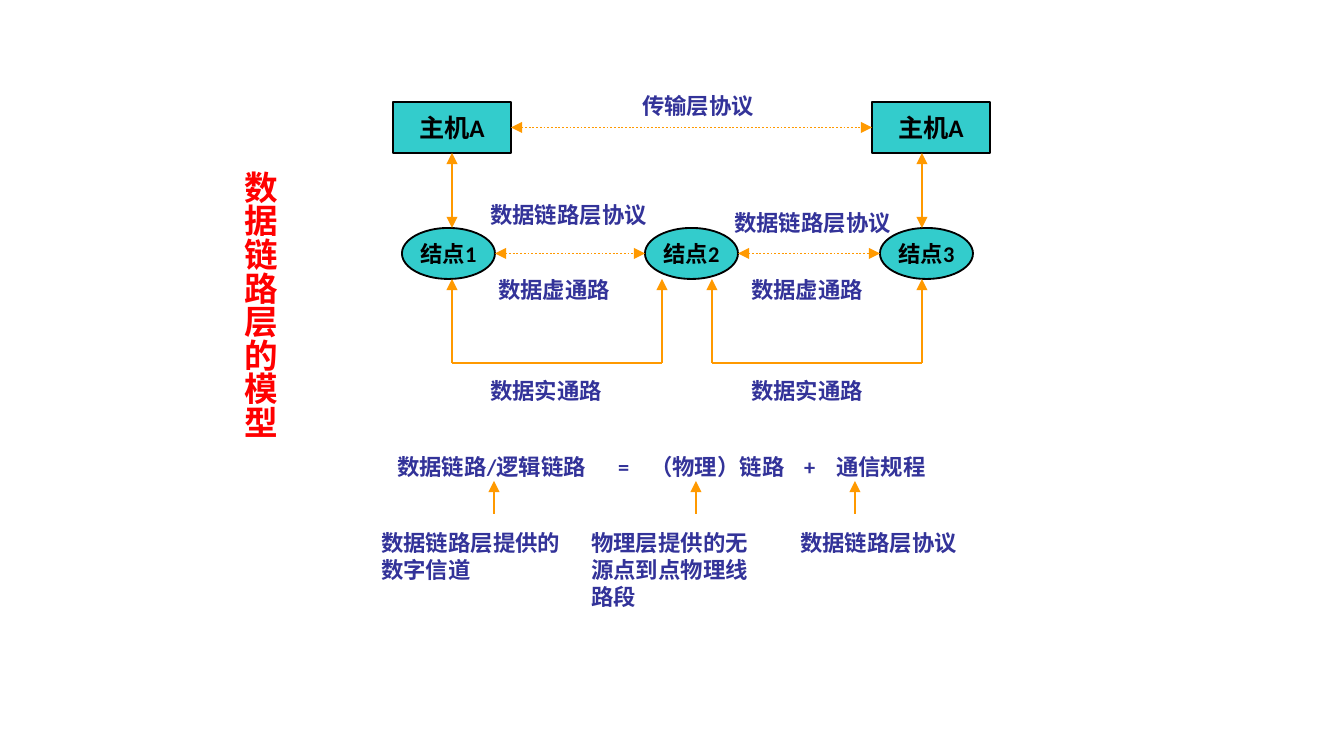
"""Build a slide showing the data link layer model."""
from pptx import Presentation
from pptx.dml.color import RGBColor
from pptx.enum.dml import MSO_LINE
from pptx.enum.shapes import MSO_CONNECTOR, MSO_SHAPE
from pptx.enum.text import MSO_ANCHOR, MSO_AUTO_SIZE, PP_ALIGN
from pptx.oxml.ns import qn
from pptx.util import Pt
from lxml.etree import SubElement

PX = 914400 / 134.4
TEAL = RGBColor(0x33, 0xCC, 0xCC)
ORANGE = RGBColor(0xFF, 0x99, 0x00)
INDIGO = RGBColor(0x33, 0x33, 0x99)
RED = RGBColor(0xFF, 0x00, 0x00)
BLACK = RGBColor(0x00, 0x00, 0x00)

TITLE = "数据链路层的模型"
HOSTS = [("主机A", 393), ("主机A", 872)]
NODES = [("结点1", 402), ("结点2", 645), ("结点3", 880)]
HOST_W, NODE_W, BOX_H = 118, 93, 51
HOST_Y, NODE_Y, LOOP_Y = 102, 228, 363
HOST_LINK_X = [452, 922]
LOOPS = [(452, 662), (712, 922)]
LABELS = [
    ("传输层协议", 629, 86, 176),
    ("数据链路层协议", 477, 195, 202),
    ("数据链路层协议", 721, 203, 202),
    ("数据虚通路", 485, 270, 151),
    ("数据虚通路", 738, 270, 151),
    ("数据实通路", 477, 371, 151),
    ("数据实通路", 738, 371, 151),
    ("数据链路层提供的数字信道", 368, 523, 218),
    ("物理层提供的无源点到点物理线路段", 578, 523, 202),
    ("数据链路层协议", 787, 523, 202),
]
EQUATION = "数据链路/逻辑链路\t=\t（物理）链路\t+\t通信规程"
EQUATION_TABS = [221, 253, 407, 439]
NOTE_ARROW_X = [494, 696, 855]


def px(*values):
    return [round(v * PX) for v in values]


def put_text(sp, text, size=12, font="Calibri", color=INDIGO, align=PP_ALIGN.LEFT,
             anchor=MSO_ANCHOR.TOP, wrap=True, tabs=()):
    tf = sp.text_frame
    tf.auto_size = MSO_AUTO_SIZE.NONE
    tf.word_wrap, tf.vertical_anchor = wrap, anchor
    p = tf.paragraphs[0]
    p.alignment = align
    if tabs:
        tab_list = SubElement(p._p.get_or_add_pPr(), qn("a:tabLst"))
        for pos in px(*tabs):
            SubElement(tab_list, qn("a:tab"), pos=str(pos), algn="l")
    r = p.add_run()
    r.text = text
    r.font.size, r.font.name, r.font.bold = Pt(size), font, True
    r.font.color.rgb = color


def add_box(s, kind, text, x, y, w, size):
    sp = s.shapes.add_shape(kind, *px(x, y, w, BOX_H))
    sp.shadow.inherit = False
    sp.fill.solid()
    sp.fill.fore_color.rgb = TEAL
    sp.line.color.rgb, sp.line.width = BLACK, Pt(1)
    put_text(sp, text, size=size, color=BLACK, align=PP_ALIGN.CENTER,
             anchor=MSO_ANCHOR.MIDDLE, wrap=False)


def add_label(s, text, x, y, w, **fmt):
    put_text(s.shapes.add_textbox(*px(x, y, w, 40)), text, **fmt)


def add_line(s, x1, y1, x2, y2, ends=(), dotted=False):
    line = s.shapes.add_connector(MSO_CONNECTOR.STRAIGHT, *px(x1, y1, x2, y2))
    line.line.color.rgb, line.line.width = ORANGE, Pt(1)
    if dotted:
        line.line.dash_style = MSO_LINE.ROUND_DOT
    for end in ends:
        SubElement(line.line._get_or_add_ln(), qn(f"a:{end}"), type="triangle")
    SubElement(line._element.spPr, qn("a:effectLst"))


def main():
    prs = Presentation()
    prs.slide_width, prs.slide_height = px(1344, 756)
    s = prs.slides.add_slide(prs.slide_layouts[5])
    both = ("headEnd", "tailEnd")

    title = s.shapes.title
    title.left, title.top, title.width, title.height = px(227, 164, 67, 310)
    put_text(title, TITLE, size=18, font="Arial", color=RED)
    title.text_frame._txBody.bodyPr.set("vert", "eaVert")

    for text, x in HOSTS:
        add_box(s, MSO_SHAPE.RECTANGLE, text, x, HOST_Y, HOST_W, 13.5)
    for text, x in NODES:
        add_box(s, MSO_SHAPE.OVAL, text, x, NODE_Y, NODE_W, 12)

    for x in HOST_LINK_X:
        add_line(s, x, HOST_Y + BOX_H, x, NODE_Y, both)
    for x1, x2 in LOOPS:
        add_line(s, x1, LOOP_Y, x2, LOOP_Y)
        for x in (x1, x2):
            add_line(s, x, LOOP_Y, x, NODE_Y + BOX_H, ["tailEnd"])
    for row, w, top in ((HOSTS, HOST_W, HOST_Y), (NODES, NODE_W, NODE_Y)):
        y = top + BOX_H / 2
        for (_, left), (_, right) in zip(row, row[1:]):
            add_line(s, left + w, y, right, y, both, dotted=True)

    for label in LABELS:
        add_label(s, *label)
    add_label(s, EQUATION, 384, 447, 613, tabs=EQUATION_TABS)
    for x in NOTE_ARROW_X:
        add_line(s, x, 514, x, 481, ["tailEnd"])

    prs.save("out.pptx")


if __name__ == "__main__":
    main()
